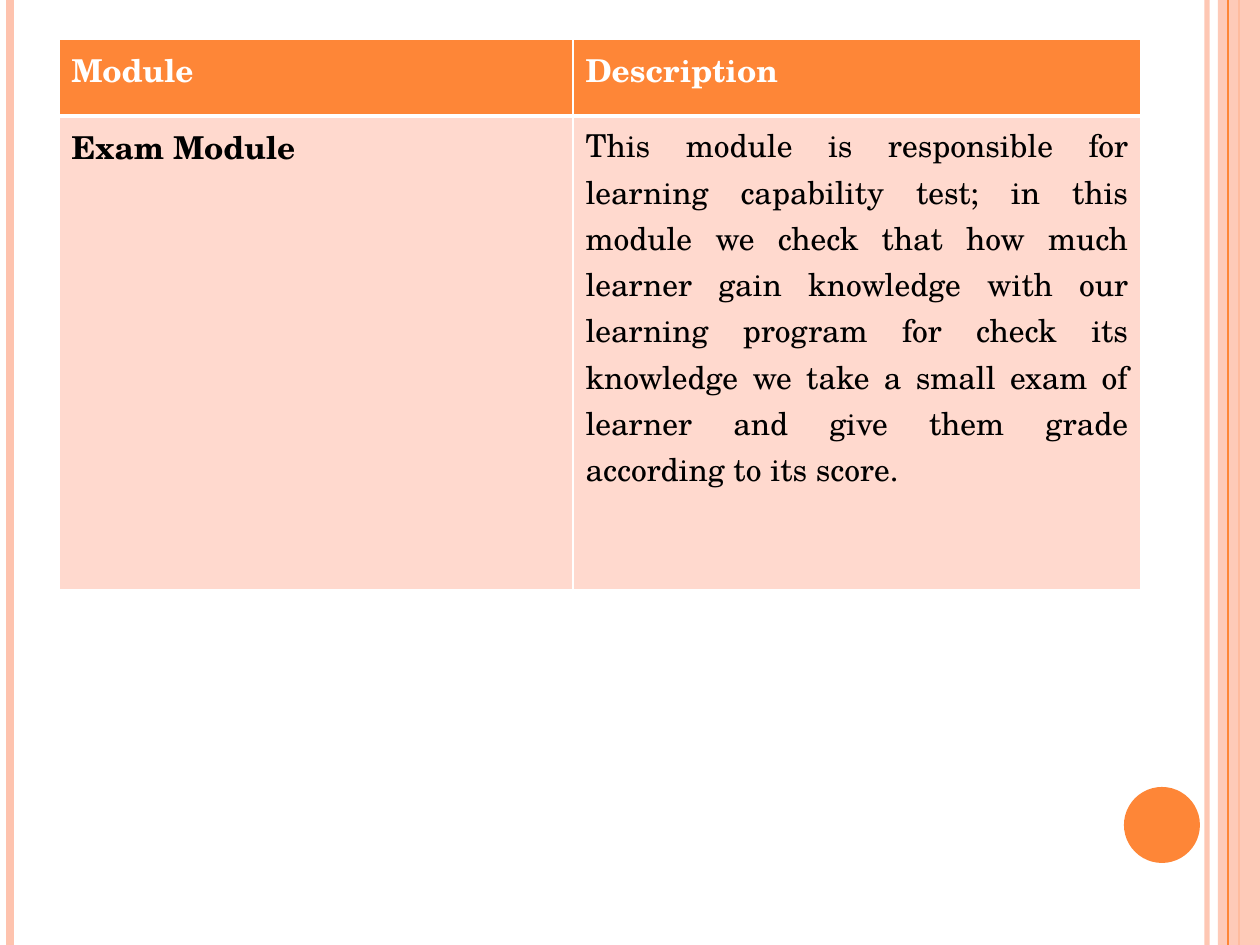
from dataclasses import dataclass

from lxml.etree import SubElement
from pptx import Presentation
from pptx.dml.color import RGBColor
from pptx.enum.shapes import MSO_CONNECTOR, MSO_SHAPE
from pptx.enum.text import PP_ALIGN
from pptx.oxml.ns import qn
from pptx.util import Pt

SCALE = 914400 // 126
WIDTH, HEIGHT = 1260, 945
FONT = "TeX Gyre Schola"
COLORS = {
    "orange": "FE8637",
    "peach": "FEC3AE",
    "pale": "FFD9CE",
    "white": "FFFFFF",
    "black": "000000",
}


@dataclass
class Stripe:
    x: int
    color: str
    weight: float
    alpha: int = 100


@dataclass
class Block:
    kind: MSO_SHAPE
    x: int
    y: int
    w: int
    h: int
    color: str
    alpha: int = 100


@dataclass
class Entry:
    text: str
    fill: str
    ink: str
    top: int
    base: int
    bold: bool = True
    align: PP_ALIGN = PP_ALIGN.LEFT


def px(count: int) -> int:
    return count * SCALE


def tint(fill, color: str, alpha: int = 100) -> None:
    fill.solid()
    fill.fore_color.rgb = RGBColor.from_string(COLORS[color])
    if alpha < 100:
        node = fill._xPr.find(qn("a:solidFill"))[0]
        SubElement(node, qn("a:alpha"), val=str(alpha * 1000))


def draw_stripe(slide, stripe: Stripe) -> None:
    line = slide.shapes.add_connector(
        MSO_CONNECTOR.STRAIGHT, px(stripe.x), 0, px(stripe.x), px(HEIGHT)
    )
    line.line.width = Pt(stripe.weight)
    tint(line.line.fill, stripe.color, stripe.alpha)
    SubElement(line._element.spPr, qn("a:effectLst"))


def draw_block(slide, block: Block) -> None:
    shape = slide.shapes.add_shape(
        block.kind, px(block.x), px(block.y), px(block.w), px(block.h)
    )
    shape.shadow.inherit = False
    shape.line.fill.background()
    tint(shape.fill, block.color, block.alpha)


def draw_edge(cell, side: str, weight: int) -> None:
    props = cell._tc.get_or_add_tcPr()
    edge = SubElement(props, qn("a:ln" + side), w=str(Pt(weight)))
    fill = SubElement(edge, qn("a:solidFill"))
    SubElement(fill, qn("a:srgbClr"), val=COLORS["white"])


def fill_cell(cell, entry: Entry) -> None:
    for side, weight in zip("LRTB", (1, 1, entry.top, entry.base)):
        draw_edge(cell, side, weight)
    tint(cell.fill, entry.fill)
    cell.text = entry.text
    para = cell.text_frame.paragraphs[0]
    para.alignment = entry.align
    para.font.name = FONT
    para.font.size = Pt(18)
    para.font.bold = entry.bold
    para.font.color.rgb = RGBColor.from_string(COLORS[entry.ink])


def draw_table(slide, x: int, y: int, cols: list[int], rows: list[int],
               grid: list[list[Entry]]) -> None:
    frame = slide.shapes.add_table(
        len(rows), len(cols), px(x), px(y), px(sum(cols)), px(sum(rows))
    )
    table = frame.table
    for col, width in zip(table.columns, cols):
        col.width = px(width)
    for row, height, line in zip(table.rows, rows, grid):
        row.height = px(height)
        for cell, entry in zip(row.cells, line):
            fill_cell(cell, entry)


DETAIL = (
    "This module is responsible for learning capability test; in this module "
    "we check that how much learner gain knowledge with our learning program "
    "for check its knowledge we take a small exam of learner and give them "
    "grade according to its score."
)
HEAD = ("orange", "white", 1, 3)
BODY = ("pale", "black", 3, 1)
GRID = [
    [Entry("Module", *HEAD), Entry("Description", *HEAD)],
    [Entry("Exam Module", *BODY),
     Entry(DETAIL, *BODY, bold=False, align=PP_ALIGN.JUSTIFY)],
]
DECOR = [
    Stripe(1207, "peach", 3, 93),
    Stripe(10, "peach", 4.5),
    Stripe(1239, "orange", 1.5),
    Block(MSO_SHAPE.RECTANGLE, 1218, 0, 42, HEIGHT, "peach", 87),
    Stripe(1228, "orange", 0.75),
    Block(MSO_SHAPE.OVAL, 1124, 787, 76, 76, "orange"),
]

deck = Presentation()
deck.slide_width, deck.slide_height = px(WIDTH), px(HEIGHT)
slide = deck.slides.add_slide(deck.slide_layouts[6])
tint(slide.background.fill, "white")
for item in DECOR:
    if isinstance(item, Stripe):
        draw_stripe(slide, item)
    else:
        draw_block(slide, item)
draw_table(slide, 59, 39, [514, 568], [77, 474], GRID)
deck.save("out.pptx")
